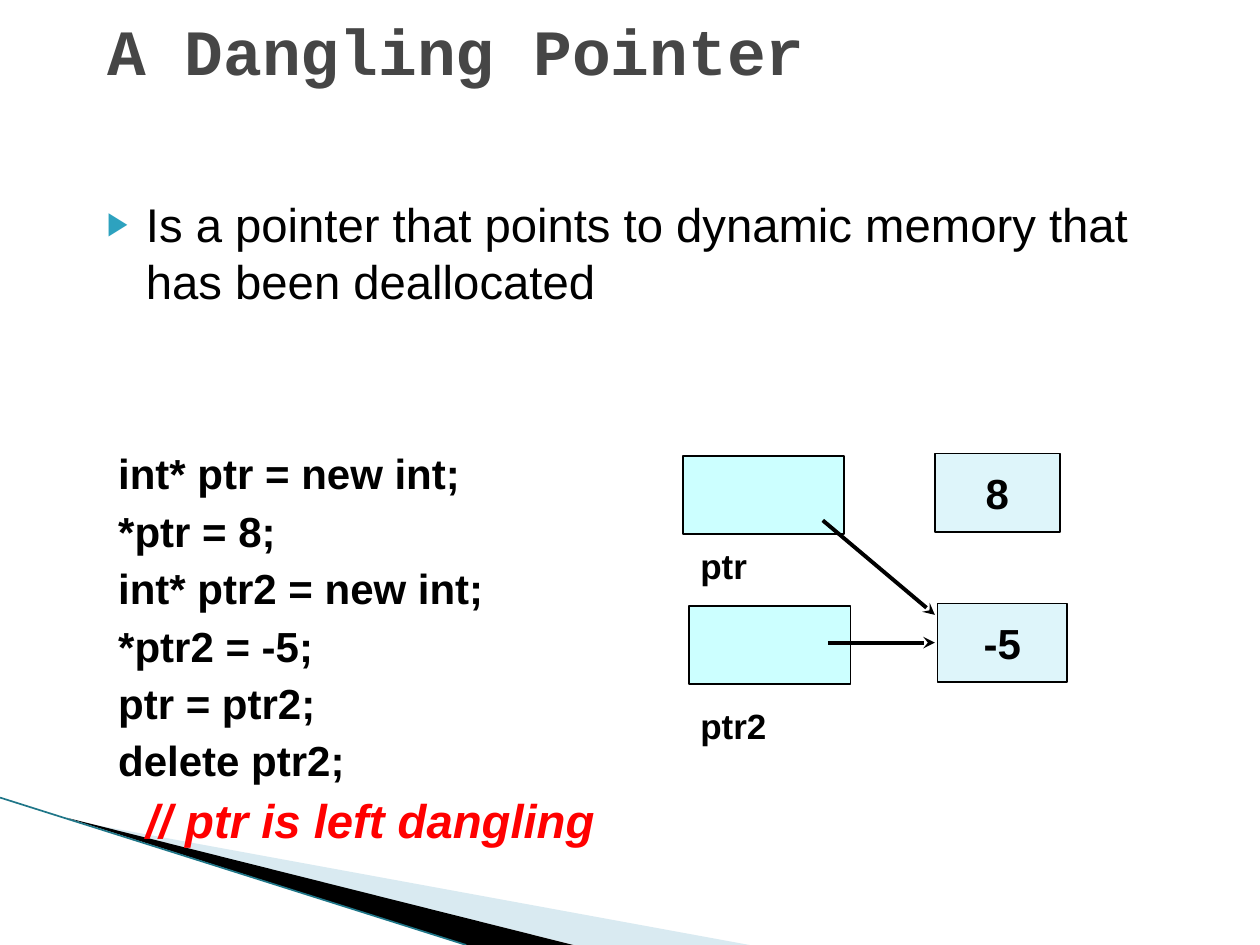
from lxml import etree
from pptx import Presentation
from pptx.dml.color import RGBColor
from pptx.enum.shapes import MSO_CONNECTOR, MSO_SHAPE
from pptx.enum.text import MSO_ANCHOR, PP_ALIGN
from pptx.oxml import parse_xml
from pptx.oxml.ns import nsdecls, qn
from pptx.util import Inches, Pt

COLORS = {name: RGBColor.from_string(value) for name, value in {
    "black": "000000", "title": "464646", "red": "FF0000", "teal": "1F7688",
    "swoosh": "A0CBDC", "pointer": "CCFFFF", "value": "DEF5FA",
}.items()}


def write(box, lines, size, color="black", bold=True, font="Arial"):
    frame = box.text_frame
    frame.word_wrap = True
    frame.text = "\n".join(lines)
    for para in frame.paragraphs:
        for span in para.runs:
            span.font.name = font
            span.font.size = Pt(size)
            span.font.bold = bold
            span.font.color.rgb = COLORS[color]
    return frame.paragraphs


def connect(start, end, color, width):
    ends = [Inches(value) for value in start + end]
    line = page.shapes.add_connector(MSO_CONNECTOR.STRAIGHT, *ends)
    line.line.color.rgb = COLORS[color]
    line.line.width = Pt(width)
    etree.SubElement(line._element.spPr, qn("a:effectLst"))
    return line


deck = Presentation()
deck.slide_width, deck.slide_height = Inches(10), Inches(7.5)
page = deck.slides.add_slide(deck.slide_layouts[5])

wedges = [
    ("swoosh", [(0.55, 6.51), (5.95, 7.5), (4.56, 7.5)]),
    ("black", [(0.53, 6.49), (4.55, 7.5), (3.7, 7.5)]),
]
for color, points in wedges:
    corners = [(Inches(x), Inches(y)) for x, y in points]
    builder = page.shapes.build_freeform(*corners[0], scale=1.0)
    builder.add_line_segments(corners[1:], close=True)
    wedge = builder.convert_to_shape()
    wedge.shadow.inherit = False
    wedge.fill.solid()
    wedge.fill.fore_color.rgb = COLORS[color]
    wedge.line.fill.background()
    if color == "swoosh":
        tint = wedge._element.spPr.find(qn("a:solidFill"))[0]
        etree.SubElement(tint, qn("a:alpha"), val="40000")
connect((0, 6.33), (3.7, 7.5), "teal", 0.95)

title = page.shapes.title
title.left, title.top = Inches(0.75), Inches(0.17)
title.width, title.height = Inches(8.58), Inches(0.58)
title.text_frame.vertical_anchor = MSO_ANCHOR.BOTTOM
heading = write(title, ["A Dangling Pointer"], 36.9, "title", font="Courier New")[0]
heading.alignment = PP_ALIGN.LEFT

definition = page.shapes.add_textbox(Inches(0.75), Inches(1.5), Inches(8.48), Inches(1.1))
para = write(definition, [
    "Is a pointer that points to dynamic memory that has been deallocated"
], 27, bold=False)[0]
para.line_spacing = Pt(32.6)
properties = para._p.get_or_add_pPr()
properties.set("marL", str(Inches(0.31)))
properties.set("indent", str(-Inches(0.31)))
for bullet in (
    f'<a:buClr {nsdecls("a")}><a:srgbClr val="2DA2BF"/></a:buClr>',
    f'<a:buSzPct {nsdecls("a")} val="68000"/>',
    f'<a:buFont {nsdecls("a")} typeface="Arial"/>',
    f'<a:buChar {nsdecls("a")} char="\u25b6"/>',
):
    properties.append(parse_xml(bullet))

code = page.shapes.add_textbox(Inches(0.84), Inches(3.45), Inches(4.5), Inches(3.4))
lines = write(code, [
    "int* ptr = new int;", "*ptr = 8;", "int* ptr2 = new int;", "*ptr2 = -5;",
    "ptr = ptr2;", "delete ptr2;", "// ptr is left dangling",
], 24)
for para in lines:
    para.line_spacing = Pt(32.8)
remark = lines[-1]
remark.space_before = Pt(3)
remark._p.get_or_add_pPr().set("marL", str(Inches(0.22)))
font = remark.runs[0].font
font.size, font.italic = Pt(27), True
font.color.rgb = COLORS["red"]

cells = [
    (5.42, 3.62, 1.28, "pointer", ""),
    (5.47, 4.81, 1.28, "pointer", ""),
    (7.42, 3.6, 0.99, "value", "8"),
    (7.44, 4.79, 1.03, "value", "-5"),
]
for left, top, width, color, value in cells:
    cell = page.shapes.add_shape(
        MSO_SHAPE.RECTANGLE, Inches(left), Inches(top), Inches(width), Inches(0.62))
    cell.shadow.inherit = False
    cell.fill.solid()
    cell.fill.fore_color.rgb = COLORS[color]
    cell.line.color.rgb = COLORS["black"]
    cell.line.width = Pt(1)
    if value:
        write(cell, [value], 24)[0].alignment = PP_ALIGN.CENTER

for name, top in (("ptr", 4.27), ("ptr2", 5.54)):
    label = page.shapes.add_textbox(Inches(5.46), Inches(top), Inches(1), Inches(0.43))
    write(label, [name], 20)

for start, end in (((6.53, 4.13), (7.42, 4.88)), ((6.57, 5.1), (7.42, 5.1))):
    arrow = connect(start, end, "black", 2.25)
    etree.SubElement(arrow.line._get_or_add_ln(), qn("a:tailEnd"), type="stealth")

deck.save("out.pptx")
